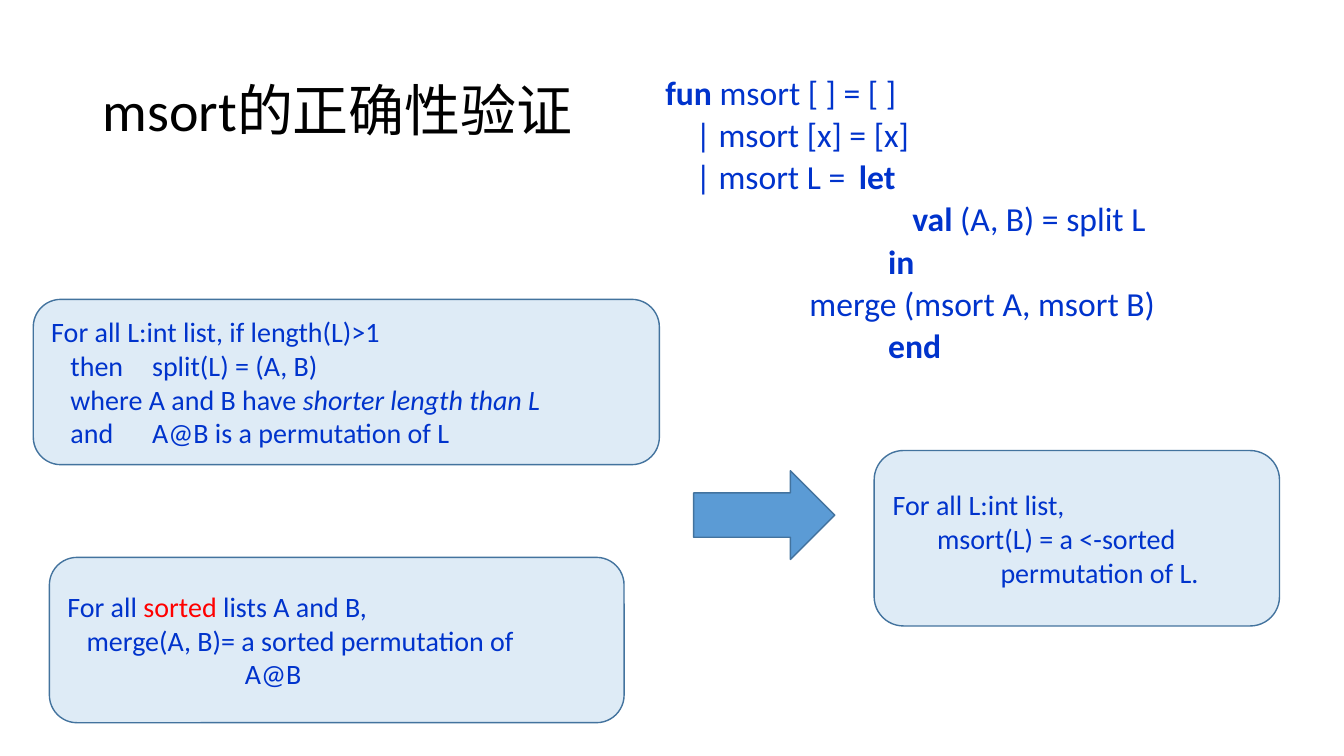
from dataclasses import dataclass, field

from lxml.etree import SubElement
from pptx import Presentation
from pptx.dml.color import RGBColor
from pptx.enum.shapes import MSO_SHAPE
from pptx.enum.text import MSO_ANCHOR, PP_ALIGN
from pptx.oxml.ns import qn
from pptx.util import Emu, Pt

SCALE = 9144
BLUE, RED, BLACK = "0033CC", "FF0000", "000000"
PALE, SKY, EDGE = "DEEBF6", "5B9BD5", "43739E"


@dataclass
class Run:
    text: str
    style: dict = field(default_factory=dict)
    color: str = BLUE


@dataclass
class Line:
    runs: list[Run]
    indent: int = 0
    tab: int = 0


@dataclass
class Block:
    box: tuple[int, int, int, int]
    lines: list[Line]
    size: int = 20
    kind: MSO_SHAPE | None = MSO_SHAPE.ROUNDED_RECTANGLE
    fill: str = PALE
    anchor: MSO_ANCHOR = MSO_ANCHOR.MIDDLE
    space: dict = field(default_factory=dict)


def px(value: int) -> Emu:
    return Emu(value * SCALE)


def rgb(value: str) -> RGBColor:
    return RGBColor.from_string(value)


def apply(target, values: dict) -> None:
    for name, value in values.items():
        setattr(target, name, value)


def plain(text: str, indent: int = 0, tab: int = 0) -> Line:
    return Line([Run(text)], indent, tab)


def bold(text: str) -> Run:
    return Run(text, {"bold": True})


def write(para, line: Line, block: Block, first: bool) -> None:
    apply(para, {"alignment": PP_ALIGN.LEFT, **block.space})
    if first:
        para.space_before = Pt(0)
    props = para._p.get_or_add_pPr()
    props.set("marL", "0")
    props.set("indent", str(px(line.indent)))
    if line.tab:
        stops = SubElement(props, qn("a:tabLst"))
        SubElement(stops, qn("a:tab"), pos=str(px(line.tab)), algn="l")
    for part in line.runs:
        run = para.add_run()
        run.text = part.text
        apply(run.font, {"name": "Calibri", "size": Pt(block.size), **part.style})
        run.font.color.rgb = rgb(part.color)


def draw(slide, block: Block) -> None:
    box = [px(value) for value in block.box]
    if block.kind is None:
        shape = slide.shapes.add_textbox(*box)
    else:
        shape = slide.shapes.add_shape(block.kind, *box)
        shape.shadow.inherit = False
        shape.fill.solid()
        shape.fill.fore_color.rgb = rgb(block.fill)
        shape.line.color.rgb = rgb(EDGE)
        shape.line.width = Pt(1)
    frame = shape.text_frame
    apply(frame, {"word_wrap": True, "vertical_anchor": block.anchor})
    for index, line in enumerate(block.lines):
        para = frame.add_paragraph() if index else frame.paragraphs[0]
        write(para, line, block, index == 0)


TITLE = Block(
    (92, 40, 1150, 145),
    [Line([Run("msort的正确性验证", color=BLACK)])],
    size=40, kind=None, space={"line_spacing": 0.9},
)
SPLIT = Block((33, 297, 621, 164), [
    plain("For all L:int list, if length(L)>1"),
    plain("then\tsplit(L) = (A, B)", 19, 113),
    Line([Run("where A and B have "),
          Run("shorter length than L", {"italic": True})], 19),
    plain("and\tA@B is a permutation of L", 19, 113),
])
MERGE = Block((49, 553, 570, 164), [
    Line([Run("For all "), Run("sorted", color=RED), Run(" lists A and B,")]),
    plain("merge(A, B)= a sorted permutation of", 19),
    plain("A@B", 176),
])
RESULT = Block((867, 447, 402, 174), [
    plain("For all L:int list,"),
    plain("msort(L) = a <-sorted", 44),
    plain("permutation of L.", 107),
])
ARROW = Block((688, 467, 140, 88), [], kind=MSO_SHAPE.RIGHT_ARROW, fill=SKY)
CODE = Block(
    (642, 77, 685, 305),
    [
        Line([bold("fun "), Run("msort [ ] = [ ]")], 8),
        plain("| msort [x] = [x]", 38),
        Line([Run("| msort L =\t"), bold("let")], 38, 201),
        Line([bold("val "), Run("(A, B) = split L")], 253),
        Line([bold("in")], 229),
        plain("merge (msort A, msort B)", 151),
        Line([bold("end")], 229),
    ],
    size=24, kind=None, anchor=MSO_ANCHOR.TOP,
    space={"line_spacing": 0.7, "space_before": Pt(10)},
)


def main() -> None:
    deck = Presentation()
    apply(deck, {"slide_width": px(1333), "slide_height": px(750)})
    slide = deck.slides.add_slide(deck.slide_layouts[6])
    for block in (TITLE, SPLIT, MERGE, RESULT, ARROW, CODE):
        draw(slide, block)
    deck.save("out.pptx")


if __name__ == "__main__":
    main()
